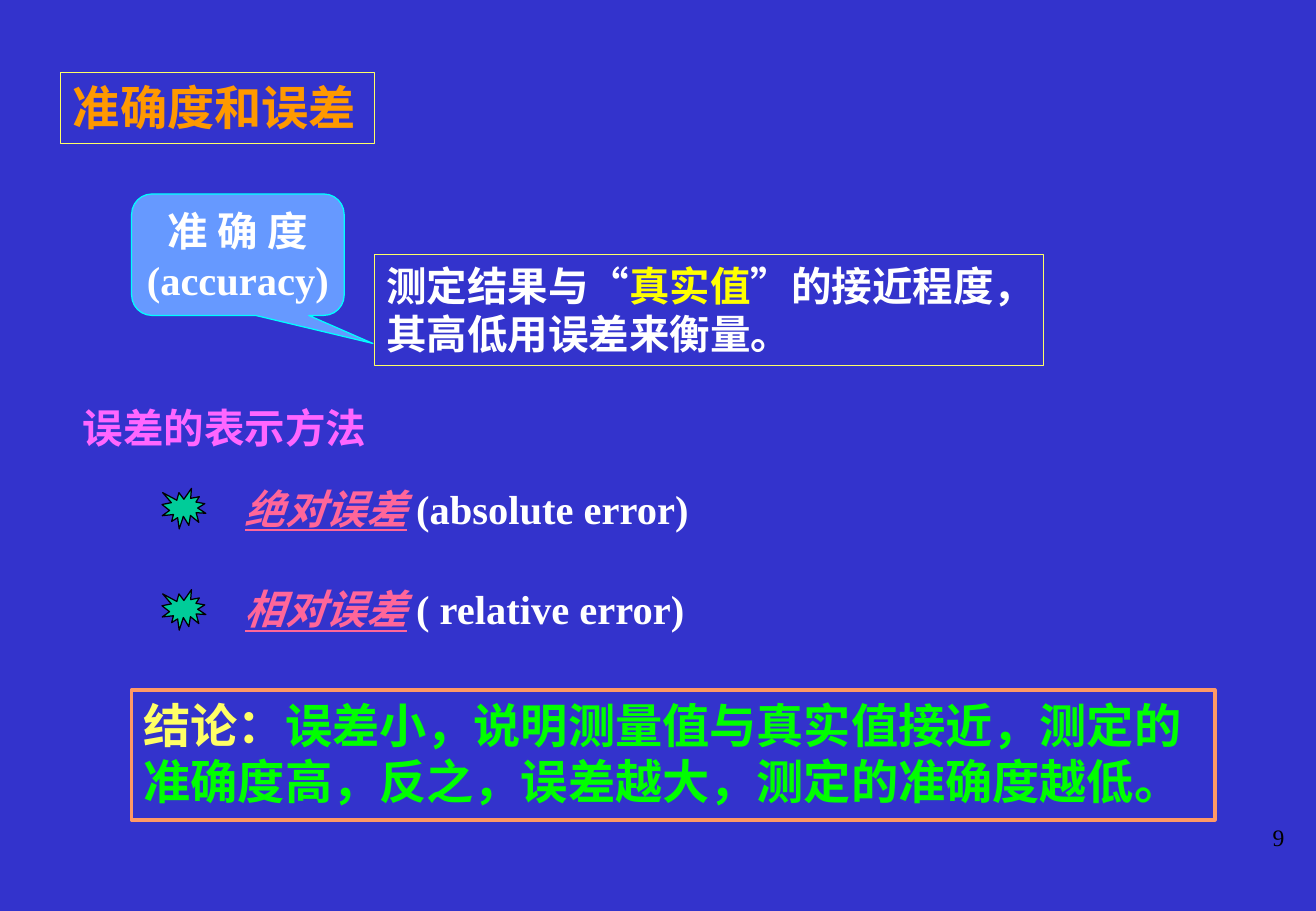
from lxml import etree
from pptx import Presentation
from pptx.dml.color import RGBColor
from pptx.enum.shapes import MSO_SHAPE
from pptx.enum.text import MSO_ANCHOR, MSO_AUTO_SIZE, PP_ALIGN
from pptx.oxml.ns import qn
from pptx.util import Pt

RECT = MSO_SHAPE.RECTANGLE
CALLOUT = MSO_SHAPE.ROUNDED_RECTANGULAR_CALLOUT
BURST = MSO_SHAPE.EXPLOSION1
LEFT, CENTER, RIGHT = PP_ALIGN.LEFT, PP_ALIGN.CENTER, PP_ALIGN.RIGHT
TOP, MIDDLE = MSO_ANCHOR.TOP, MSO_ANCHOR.MIDDLE
NO_FIT = MSO_AUTO_SIZE.NONE

LATIN, CJK = "Times New Roman", "Noto Sans CJK SC"
COLORS = {
    "background": "3333CC", "frame": "FFFF66", "heading": "FF9900",
    "callout": "6699FF", "callout_line": "00FFFF", "white": "FFFFFF",
    "true_value": "FFFF00", "methods": "FF66FF", "error_name": "FF6699",
    "burst": "00CC99", "black": "000000", "conclusion": "00FF00",
    "conclusion_line": "FF9966",
}


def write(shape, paragraphs, size, align=LEFT, anchor=TOP, gap=0, bold=True, wrap=True):
    """Fill a shape with paragraphs made of (text, colour, italic underlined) runs."""
    frame = shape.text_frame
    frame.word_wrap = wrap
    frame.auto_size = NO_FIT
    frame.vertical_anchor = anchor
    for index, runs in enumerate(paragraphs):
        paragraph = frame.add_paragraph() if index else frame.paragraphs[0]
        properties = paragraph._p.get_or_add_pPr()
        properties.set("marL", "0")
        properties.set("indent", "0")
        etree.SubElement(properties, qn("a:buNone"))
        paragraph.alignment = align
        paragraph.space_before = Pt(gap if index else 0)
        for text, color, *style in runs:
            run = paragraph.add_run()
            run.text = text
            font = run.font
            font.size, font.bold, font.name = Pt(size), bold, LATIN
            font.color.rgb = RGBColor.from_string(COLORS[color])
            font.italic = "italic" in style
            font.underline = "underline" in style
            etree.SubElement(run._r.get_or_add_rPr(), qn("a:ea"), typeface=CJK)


def outlined(kind, left, top, width, height, line, weight=0.75, fill=None):
    shape = slide.shapes.add_shape(kind, Pt(left), Pt(top), Pt(width), Pt(height))
    shape.shadow.inherit = False
    if fill:
        shape.fill.solid()
        shape.fill.fore_color.rgb = RGBColor.from_string(COLORS[fill])
    else:
        shape.fill.background()
    shape.line.color.rgb = RGBColor.from_string(COLORS[line])
    shape.line.width = Pt(weight)
    return shape


prs = Presentation()
prs.slide_width, prs.slide_height = Pt(780), Pt(540)
slide = prs.slides.add_slide(prs.slide_layouts[1])
slide.background.fill.solid()
slide.background.fill.fore_color.rgb = RGBColor.from_string(COLORS["background"])

# Title in its frame
title = slide.shapes.title
title.left, title.top, title.width, title.height = Pt(36), Pt(43), Pt(186), Pt(42)
title.line.color.rgb = RGBColor.from_string(COLORS["frame"])
title.line.width = Pt(0.75)
write(title, [[("准确度和误差", "heading")]], 28)

# Accuracy callout and its definition
accuracy = outlined(CALLOUT, 78, 115, 126, 72, "callout_line", fill="callout")
for index, value in enumerate((0.635, 0.731, 0.167)):
    accuracy.adjustments[index] = value
write(accuracy, [[("准 确 度", "white")], [("(accuracy)", "white")]], 24,
      align=CENTER, anchor=MIDDLE, wrap=False)

definition = outlined(RECT, 222, 151, 396.5, 65.5, "frame", fill="background")
write(definition, [[("测定结果与“", "white"), ("真实值", "true_value"),
                    ("”的接近程度，其高低用误差来衡量。", "white")]], 24)

# Ways to express error
methods = slide.shapes.add_textbox(Pt(42), Pt(235.5), Pt(221), Pt(36))
write(methods, [[("误差的表示方法", "methods")]], 24)

errors = slide.placeholders[1]
errors.left, errors.top, errors.width, errors.height = Pt(138), Pt(283), Pt(312), Pt(96)
error_rows = [("绝对误差", "(absolute error)"), ("相对误差", "( relative error)")]
row_pitch = 60
write(errors, [[(name, "error_name", "italic", "underline"), (" ", "white", "italic"),
                (english, "white")] for name, english in error_rows],
      24, gap=row_pitch - 29)
for row in range(len(error_rows)):
    outlined(BURST, 96, 289.5 + row * row_pitch, 26, 24, "black", fill="burst")

# Conclusion
conclusion = outlined(RECT, 78, 409, 642, 77, "conclusion_line", weight=2.25)
write(conclusion, [[("结论：", "frame"),
                    ("误差小，说明测量值与真实值接近，测定的准确度高，反之，误差越大，测定的准确度越低。",
                     "conclusion")]], 28)

# Page number
page_number = slide.shapes.add_textbox(Pt(605.5), Pt(484.5), Pt(163), Pt(36))
write(page_number, [[("9", "black")]], 14, align=RIGHT, bold=False)

prs.save("out.pptx")
